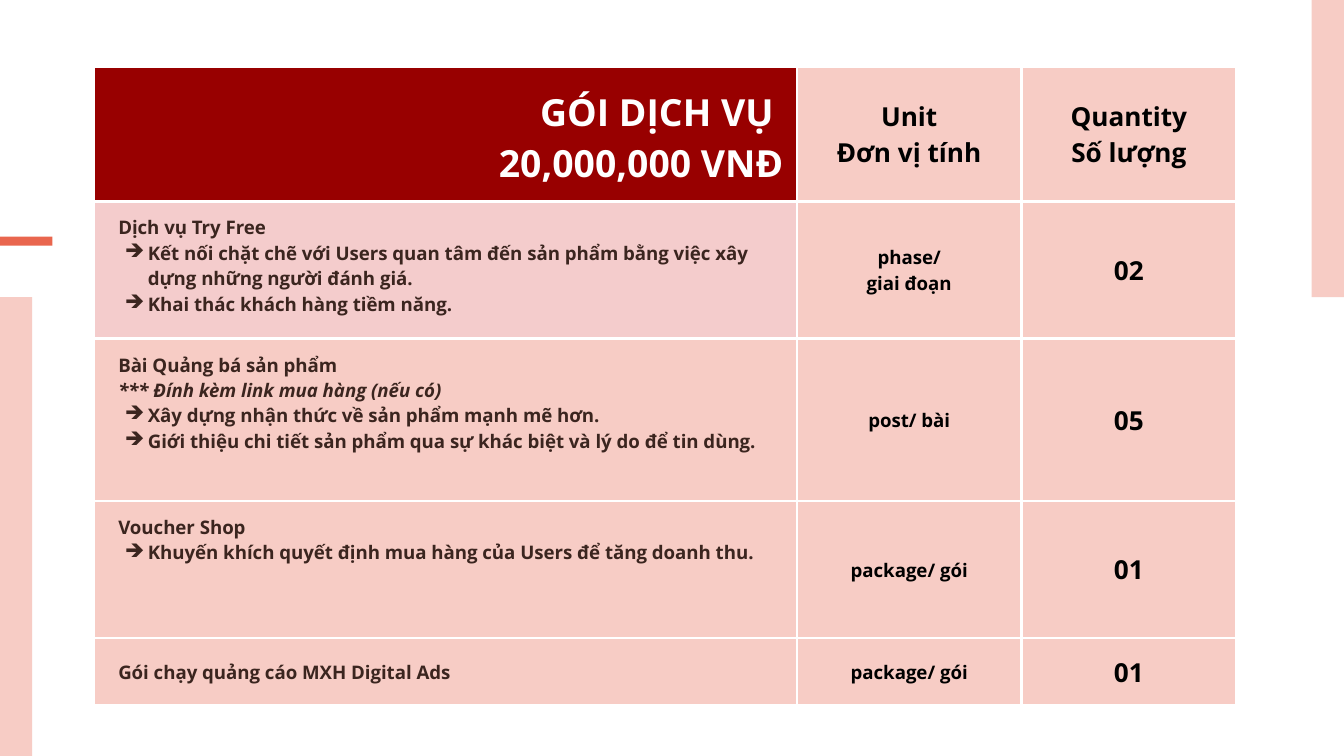
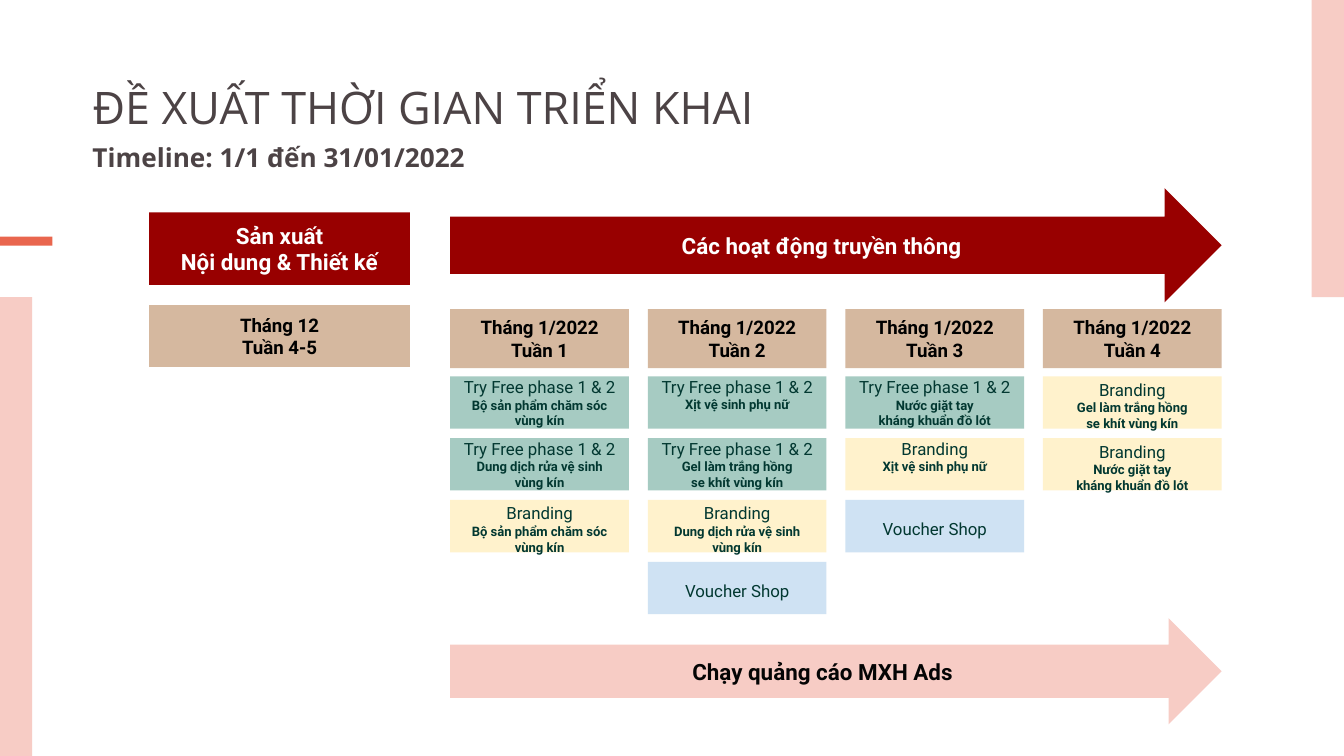
from lxml import etree
from pptx import Presentation
from pptx.dml.color import RGBColor
from pptx.enum.shapes import MSO_SHAPE as Shape
from pptx.enum.text import MSO_ANCHOR as Anchor, MSO_AUTO_SIZE as AutoSize, PP_ALIGN as Align
from pptx.oxml import parse_xml
from pptx.oxml.ns import nsdecls, qn
from pptx.util import Inches, Pt

# Palette
PINK, ROSE, CORAL, RED = "F7CCC5", "F4CCCC", "E9664E", "980000"
TAN, GREEN, CREAM, BLUE = "D5B89F", "A6CBC2", "FFF2CC", "CFE2F3"
WHITE, BLACK, BROWN, GREY, TEAL = "FFFFFF", "000000", "3B251F", "4C4345", "023831"
W, H = 10, 5.625
PAD = 0.1


def rgb(value):
    return RGBColor.from_string(value)


def write(tf, lines, align=Align.CENTER, indent=0, **base):
    """Fill a text frame; each line is a string or (string, format changes)."""
    for n, line in enumerate(lines):
        text, changes = (line, {}) if isinstance(line, str) else line
        style = {**base, **changes}
        p = tf.paragraphs[0] if n == 0 else tf.add_paragraph()
        p.alignment = align
        pPr = p._p.get_or_add_pPr()
        if style.pop("bullet", False):
            pPr.set("marL", str(Inches(0.3)))
            pPr.set("indent", str(Inches(-0.17)))
            clr = etree.SubElement(pPr, qn("a:buClr"))
            etree.SubElement(clr, qn("a:srgbClr"), val=BROWN)
            etree.SubElement(pPr, qn("a:buChar"), char="➔")
        elif indent:
            pPr.set("marL", str(Inches(indent)))
            pPr.set("indent", "0")
        r = p.add_run()
        r.text = text
        r.font.color.rgb = rgb(style.pop("color"))
        r.font.size = Pt(style.pop("size"))
        for key, value in style.items():
            setattr(r.font, key, value)


prs = Presentation()
prs.slide_width, prs.slide_height = Inches(W), Inches(H)
TITLE_ONLY, BLANK = prs.slide_layouts[5], prs.slide_layouts[6]
package = prs.slides.add_slide(BLANK)
timeline = prs.slides.add_slide(TITLE_ONLY)

# Side bands on both slides: x, y, width, height, fill
EDGE, SPLIT = 0.024 * W, 0.393 * H
bands = [
    (W - EDGE, 0, EDGE, SPLIT, PINK),
    (0, SPLIT, EDGE, H - SPLIT, PINK),
    (0, 0.313 * H, 0.039 * W, 0.012 * H, CORAL),
]
for s in (package, timeline):
    for x, y, w, h, fill in bands:
        sp = s.shapes.add_shape(Shape.RECTANGLE, *map(Inches, (x, y, w, h)))
        sp.shadow.inherit = False
        sp.fill.solid()
        sp.fill.fore_color.rgb = rgb(fill)
        sp.line.fill.background()

# Slide 1: service package table
ARROW = {"bullet": True}
rows = [
    (["GÓI DỊCH VỤ ", "20,000,000 VNĐ"], ["Unit", "Đơn vị tính"], ["Quantity", "Số lượng"]),
    (["Dịch vụ Try Free",
      ("Kết nối chặt chẽ với Users quan tâm đến sản phẩm bằng việc xây dựng "
       "những người đánh giá.", ARROW),
      ("Khai thác khách hàng tiềm năng.", ARROW)],
     ["phase/", "giai đoạn"], ["02"]),
    (["Bài Quảng bá sản phẩm",
      ("*** Đính kèm link mua hàng (nếu có)", {"italic": True}),
      ("Xây dựng nhận thức về sản phẩm mạnh mẽ hơn.", ARROW),
      ("Giới thiệu chi tiết sản phẩm qua sự khác biệt và lý do để tin dùng.", ARROW)],
     ["post/ bài"], ["05"]),
    (["Voucher Shop",
      ("Khuyến khích quyết định mua hàng của Users để tăng doanh thu.", ARROW)],
     ["package/ gói"], ["01"]),
    (["Gói chạy quảng cáo MXH Digital Ads"], ["package/ gói"], ["01"]),
]
col_widths = [5.23, 1.67, 1.6]
row_heights = [1, 1.02, 1.21, 1.02, 0.5]
frame = package.shapes.add_table(
    len(rows), len(col_widths), Inches(0.7), Inches(0.5),
    Inches(sum(col_widths)), Inches(sum(row_heights)))
table = frame.table
for col, width in zip(table.columns, col_widths):
    col.width = Inches(width)
for row, height in zip(table.rows, row_heights):
    row.height = Inches(height)

for i, row in enumerate(rows):
    for j, lines in enumerate(row):
        cell = table.cell(i, j)
        for side in ("left", "right", "top", "bottom"):
            setattr(cell, f"margin_{side}", Inches(PAD))
        fill, color, size = PINK, BLACK, 10 if j == 1 and i else 14
        align, indent, anchor = Align.CENTER, 0, Anchor.MIDDLE
        if j == 0:
            indent = 0.08
            if i == 0:
                fill, color, size, align, anchor = RED, WHITE, 20, Align.RIGHT, Anchor.BOTTOM
            else:
                fill, color, size, align = ROSE if i == 1 else PINK, BROWN, 10, Align.LEFT
                anchor = Anchor.MIDDLE if i == len(rows) - 1 else Anchor.TOP
        cell.vertical_anchor = anchor
        write(cell.text_frame, lines, align, indent,
              name="Open Sans", size=size, bold=True, color=color)
        # White borders come before the fill in the cell properties
        tcPr = cell._tc.get_or_add_tcPr()
        for edge in ("lnL", "lnR", "lnT", "lnB"):
            tcPr.append(parse_xml(
                f'<a:{edge} {nsdecls("a")} w="{Pt(1.5)}"><a:solidFill>'
                f'<a:srgbClr val="{WHITE}"/></a:solidFill></a:{edge}>'))
        cell.fill.solid()
        cell.fill.fore_color.rgb = rgb(fill)

# Slide 2: title and subtitle
title = timeline.shapes.title
subtitle = timeline.shapes.add_textbox(0, 0, 0, 0)
headings = [
    (title, (0.59, 0.42, 9, 0.69), Anchor.MIDDLE, "ĐỀ XUẤT THỜI GIAN TRIỂN KHAI", 24, False),
    (subtitle, (0.59, 0.95, 6.27, 0.44), Anchor.TOP, "Timeline: 1/1 đến 31/01/2022", 14, True),
]
for sp, box, anchor, text, size, bold in headings:
    sp.left, sp.top, sp.width, sp.height = map(Inches, box)
    tf = sp.text_frame
    frame_format = dict(word_wrap=True, auto_size=AutoSize.NONE, vertical_anchor=anchor,
                        margin_left=Inches(PAD), margin_right=Inches(PAD),
                        margin_top=Inches(PAD), margin_bottom=Inches(PAD))
    for key, value in frame_format.items():
        setattr(tf, key, value)
    write(tf, [text], Align.LEFT, name="Open Sans", size=size, bold=bold, color=GREY)
title.text_frame.paragraphs[0].line_spacing = 1.15

# Grid of four weeks
LEFT, CARD_W, CARD_H = 3.35, 1.33, 0.39
PITCH_X, TOP, PITCH_Y = 1.47, 2.8, 0.46
PREP_X, PREP_W, ARROW_W = 1.11, 1.94, 5.74
TRY, BRAND, VOUCHER = "Try Free phase 1 & 2", "Branding", "Voucher Shop"
card_fill = {TRY: GREEN, BRAND: CREAM, VOUCHER: BLUE}
CARE = ["Bộ sản phẩm chăm sóc vùng kín"]
WASH = ["Dung dịch rửa vệ sinh vùng kín"]
SPRAY = ["Xịt vệ sinh phụ nữ"]
GEL = ["Gel làm trắng hồng", "se khít vùng kín"]
LAUNDRY = ["Nước giặt tay", "kháng khuẩn đồ lót"]
weeks = [
    [(TRY, CARE), (TRY, WASH), (BRAND, CARE)],
    [(TRY, SPRAY), (TRY, GEL), (BRAND, WASH), (VOUCHER, [])],
    [(TRY, LAUNDRY), (BRAND, SPRAY), (VOUCHER, [])],
    [(BRAND, GEL), (BRAND, LAUNDRY)],
]

# Blocks: shape, box, fill, lines, text size, text colour, bold, lift of the text
blocks = [
    (Shape.RECTANGLE, (PREP_X, 1.58, PREP_W, 0.54), RED,
     ["Sản xuất", "Nội dung & Thiết kế"], 12, WHITE, True, 0),
    (Shape.RECTANGLE, (PREP_X, 2.27, PREP_W, 0.46), TAN,
     ["Tháng 12", "Tuần 4-5"], 10, BLACK, True, 0),
    (Shape.RIGHT_ARROW, (LEFT, 1.4, ARROW_W, 0.85), RED,
     ["Các hoạt động truyền thông"], 12, WHITE, True, 0),
    (Shape.RIGHT_ARROW, (LEFT, 4.6, ARROW_W, 0.79), PINK,
     ["Chạy quảng cáo MXH Ads"], 12, "050505", True, 0),
]
for i, cards in enumerate(weeks):
    x = LEFT + i * PITCH_X
    blocks.append((Shape.RECTANGLE, (x, 2.3, CARD_W, 0.44), TAN,
                   ["Tháng 1/2022", f"Tuần {i + 1}"], 10, BLACK, True, 0))
    for j, (kind, product) in enumerate(cards):
        lines = [kind] + [(text, {"size": 7, "bold": True}) for text in product]
        lift = 0.06 if product == SPRAY else 0 if kind == TRY else -0.02
        blocks.append((Shape.RECTANGLE, (x, TOP + j * PITCH_Y, CARD_W, CARD_H),
                       card_fill[kind], lines, 9, TEAL, False, lift))

for kind, box, fill, lines, size, color, bold, lift in blocks:
    sp = timeline.shapes.add_shape(kind, *map(Inches, box))
    sp.shadow.inherit = False
    sp.fill.solid()
    sp.fill.fore_color.rgb = rgb(fill)
    sp.line.fill.background()
    tf = sp.text_frame
    frame_format = dict(word_wrap=True, vertical_anchor=Anchor.MIDDLE,
                        margin_left=Inches(PAD), margin_right=Inches(PAD),
                        margin_top=Inches(PAD - lift), margin_bottom=Inches(PAD + lift))
    for key, value in frame_format.items():
        setattr(tf, key, value)
    write(tf, lines, name="Roboto", size=size, bold=bold, color=color)

prs.save("out.pptx")
